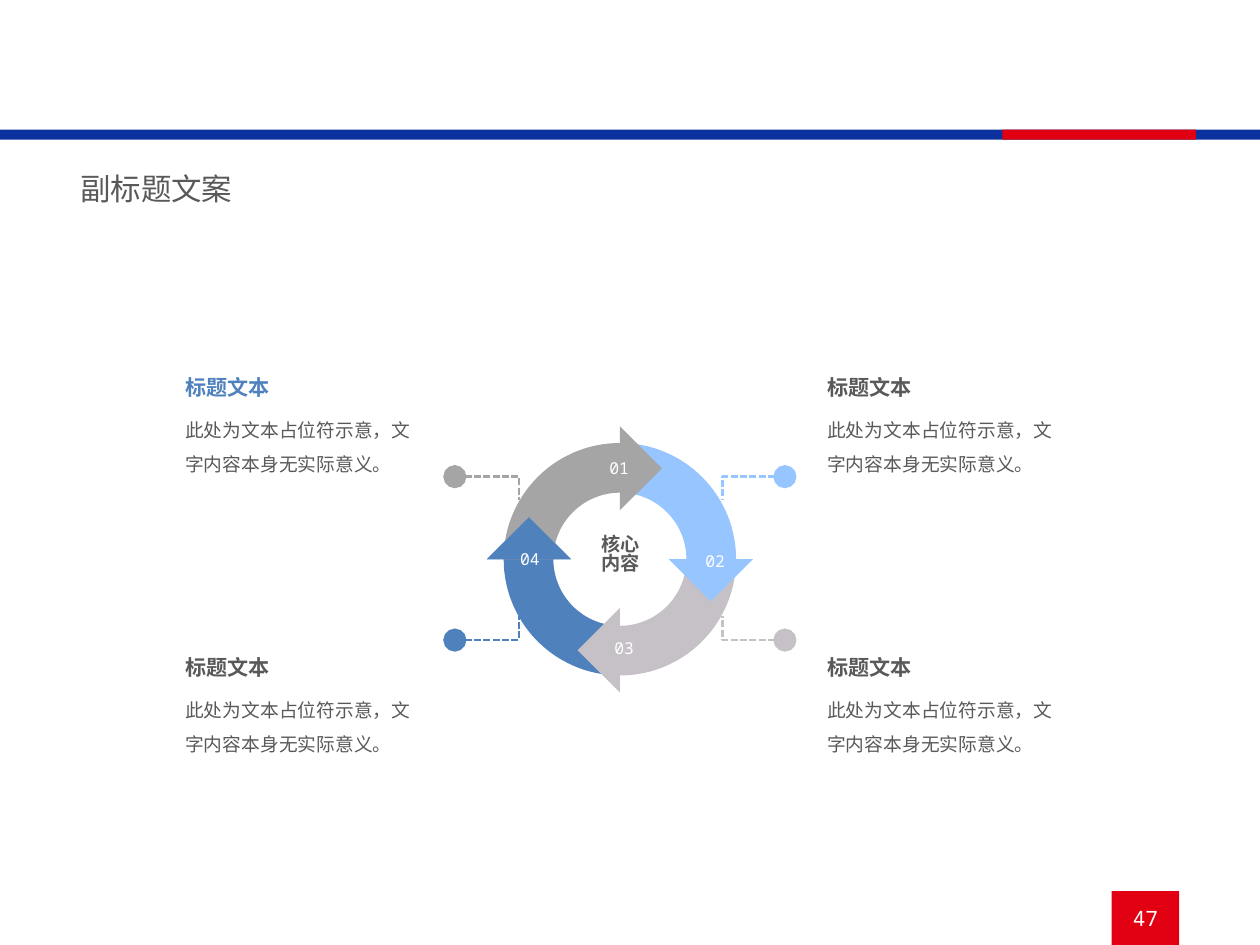
import math
from dataclasses import dataclass

import pptx
import pptx.dml.color
import pptx.enum.dml
import pptx.enum.shapes
import pptx.enum.text
import pptx.oxml
import pptx.oxml.ns
import pptx.util
from pptx.util import Inches

COLORS = {
    "navy": "0A319D", "red": "E10011", "text": "595959", "white": "FFFFFF",
    "gray": "A5A5A5", "sky": "96C5FF", "lilac": "C6C1C7", "blue": "4F81BD",
}
SANS, MONO = "Noto Sans CJK SC", "Noto Sans Mono"
CENTER = pptx.enum.text.PP_ALIGN.CENTER
BODY = "此处为文本占位符示意，文字内容本身无实际意义。"

RING_X, RING_Y = 3.68, 3.32
OUTER, INNER, MIDDLE = 0.69, 0.395, 0.54
HEAD_HALF, HEAD_LENGTH = 0.25, 0.25
ARC_STEPS = 30

Point = tuple[float, float]


@dataclass
class Step:
    number: str
    color: str
    end_angle: int  # clockwise from the right, in degrees
    label_at: Point
    text_at: Point
    text_width: float
    title_color: str
    dot: Point
    bend_x: float
    line_end_y: float


STEPS = [
    Step("01", "gray", 270, (3.48, 2.67), (1.03, 2.1), 1.43, "blue", (2.7, 2.83), 3.08, 2.97),
    Step("02", "sky", 0, (4.05, 3.22), (4.84, 2.1), 1.45, "text", (4.66, 2.83), 4.29, 2.97),
    Step("03", "lilac", 90, (3.51, 3.74), (4.84, 3.76), 1.45, "text", (4.66, 3.8), 4.29, 3.66),
    Step("04", "blue", 180, (2.95, 3.21), (1.03, 3.76), 1.43, "text", (2.7, 3.8), 3.08, 3.66),
]


def rgb(name: str) -> pptx.dml.color.RGBColor:
    return pptx.dml.color.RGBColor.from_string(COLORS[name])


def style(p, size: float, font: str, color: str, bold: bool = False) -> None:
    for r in p.runs:
        r.font.size = pptx.util.Pt(size)
        r.font.name = font
        r.font.bold = bold
        r.font.color.rgb = rgb(color)
        ea = pptx.oxml.parse_xml(f'<a:ea {pptx.oxml.ns.nsdecls("a")} typeface="{SANS}"/>')
        r.font._element.append(ea)


def add_bar(slide, left: float, top: float, width: float, height: float, color: str):
    s = slide.shapes.add_shape(pptx.enum.shapes.MSO_SHAPE.RECTANGLE, Inches(left),
                               Inches(top), Inches(width), Inches(height))
    s.shadow.inherit = False
    s.fill.solid()
    s.fill.fore_color.rgb = rgb(color)
    s.line.fill.background()
    return s


def add_text(slide, at: Point, width: float, height: float, text: str):
    s = slide.shapes.add_textbox(Inches(at[0]), Inches(at[1]), Inches(width), Inches(height))
    tf = s.text_frame
    tf.word_wrap = True
    tf.text = text
    return tf


def add_outline(slide, points: list[Point], close: bool):
    (x, y), *rest = [(Inches(px), Inches(py)) for px, py in points]
    builder = slide.shapes.build_freeform(x, y)
    builder.add_line_segments(rest, close=close)
    s = builder.convert_to_shape()
    s.shadow.inherit = False
    return s


def ring_point(radius: float, degrees: float) -> Point:
    a = math.radians(degrees)
    return RING_X + radius * math.cos(a), RING_Y + radius * math.sin(a)


def arc(radius: float, start: int, end: int) -> list[Point]:
    return [ring_point(radius, start + (end - start) * i / ARC_STEPS)
            for i in range(ARC_STEPS + 1)]


def head(end: int) -> list[Point]:
    """Arrowhead corners, from the outer one over the tip to the inner one."""
    x, y = ring_point(MIDDLE, end)
    a = math.radians(end)
    tip = (x - HEAD_LENGTH * math.sin(a), y + HEAD_LENGTH * math.cos(a))
    return [ring_point(MIDDLE + HEAD_HALF, end), tip, ring_point(MIDDLE - HEAD_HALF, end)]


def add_arrow(slide, step: Step, head_only: bool = False) -> None:
    end = step.end_angle
    points = head(end)
    if not head_only:
        points = arc(OUTER, end - 90, end) + points + arc(INNER, end, end - 90)
    s = add_outline(slide, points, close=True)
    s.fill.solid()
    s.fill.fore_color.rgb = rgb(step.color)
    s.line.fill.background()


def add_callout_line(slide, step: Step) -> None:
    x, y = step.dot
    s = add_outline(slide, [(x, y), (step.bend_x, y), (step.bend_x, step.line_end_y)], close=False)
    s.fill.background()
    s.line.color.rgb = rgb(step.color)
    s.line.width = pptx.util.Pt(1)
    s.line.dash_style = pptx.enum.dml.MSO_LINE.SQUARE_DOT
    ns = pptx.oxml.ns.nsdecls("a")
    ln = s.line._get_or_add_ln()
    ln.append(pptx.oxml.parse_xml(f'<a:headEnd {ns} type="oval" w="lg" len="lg"/>'))


def add_step_text(slide, step: Step) -> None:
    tf = add_text(slide, step.label_at, 0.39, 0.22, step.number)
    tf.paragraphs[0].alignment = CENTER
    style(tf.paragraphs[0], 7, MONO, "white")

    tf = add_text(slide, step.text_at, step.text_width, 0.71, f"标题文本\n{BODY}")
    tf.margin_left, tf.margin_right = Inches(0.07), 0
    title, body = tf.paragraphs
    title.line_spacing = body.line_spacing = 1.5
    body.space_before = pptx.util.Pt(3.4)
    style(title, 9, MONO, step.title_color, bold=True)
    style(body, 8, MONO, "text")


def main() -> None:
    prs = pptx.Presentation()
    prs.slide_width, prs.slide_height = Inches(7.48), Inches(5.61)
    slide = prs.slides.add_slide(prs.slide_layouts[6])

    add_bar(slide, 0, 0.77, 7.48, 0.06, "navy")
    add_bar(slide, 5.95, 0.77, 1.15, 0.06, "red")
    tf = add_text(slide, (0.38, 0.96), 1.58, 0.33, "副标题文案")
    style(tf.paragraphs[0], 13, SANS, "text")

    for step in STEPS:
        add_callout_line(slide, step)
    for step in reversed(STEPS):
        add_arrow(slide, step)
    # The last head lies over the first tail, which closes the cycle.
    add_arrow(slide, STEPS[-1], head_only=True)
    for step in STEPS:
        add_step_text(slide, step)

    tf = add_text(slide, (3.35, 3.18), 0.67, 0.24, "核心\n内容")
    tf.margin_left = tf.margin_right = tf.margin_top = tf.margin_bottom = 0
    for p in tf.paragraphs:
        p.alignment = CENTER
        p.line_spacing = 0.85
        style(p, 8.2, SANS, "text", bold=True)

    tf = add_bar(slide, 6.6, 5.29, 0.4, 0.32, "red").text_frame
    tf.text = "47"
    tf.vertical_anchor = pptx.enum.text.MSO_ANCHOR.MIDDLE
    tf.paragraphs[0].alignment = CENTER
    style(tf.paragraphs[0], 9, MONO, "white")

    prs.save("out.pptx")


if __name__ == "__main__":
    main()
